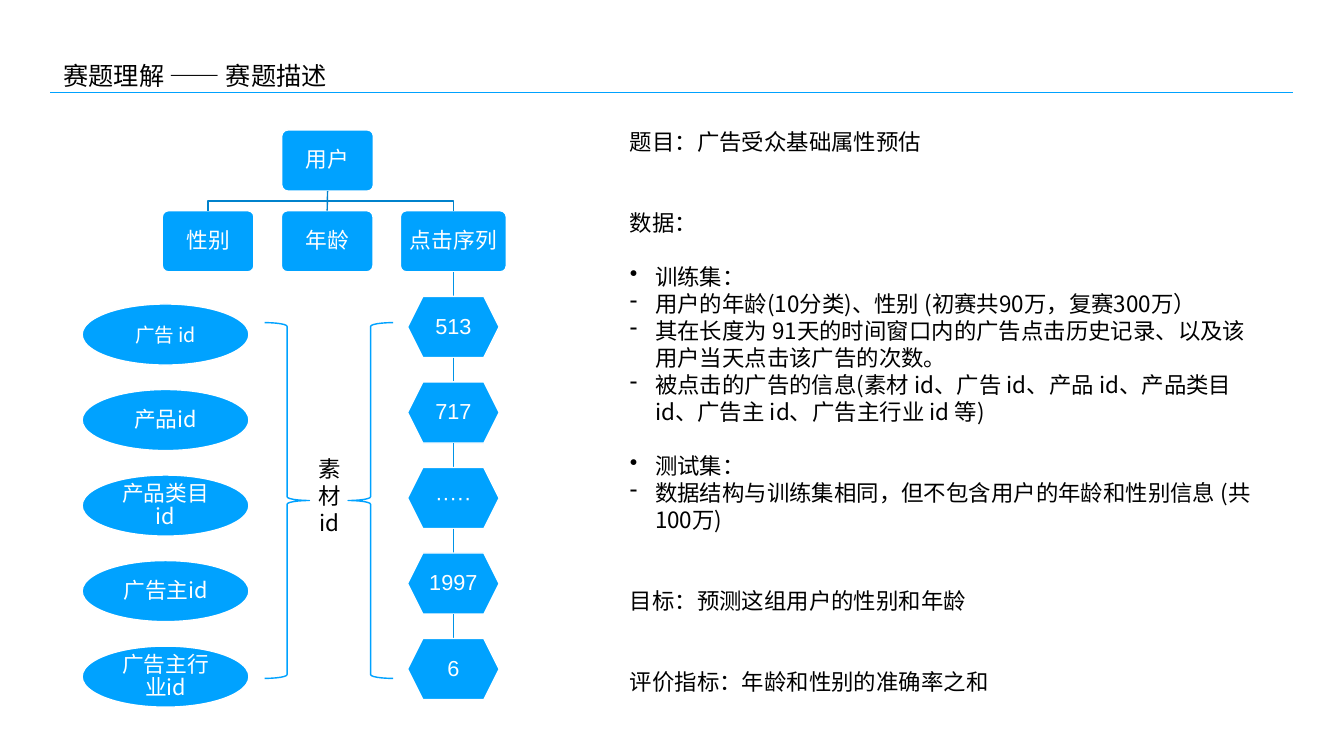
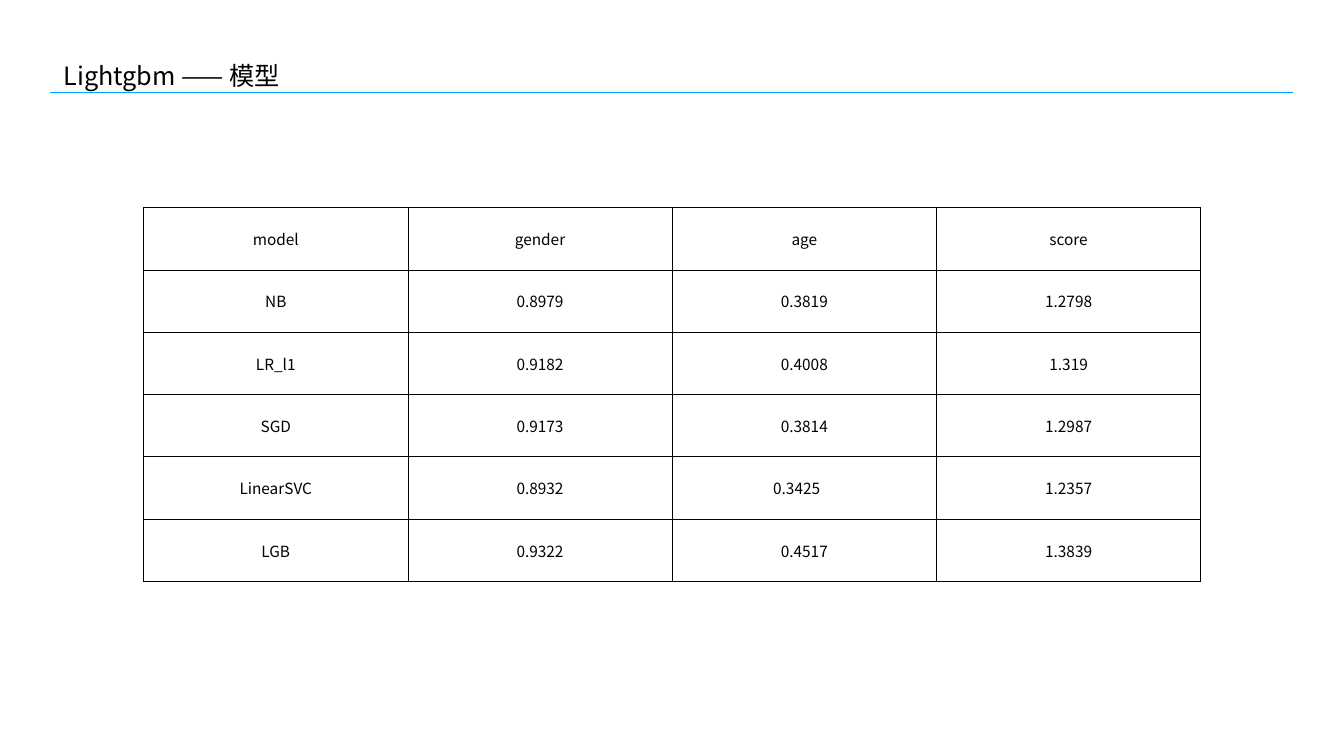
from dataclasses import dataclass
from itertools import pairwise

from lxml.etree import SubElement
from pptx import Presentation
from pptx.dml.color import RGBColor
from pptx.enum.shapes import MSO_CONNECTOR, MSO_SHAPE
from pptx.enum.text import MSO_ANCHOR, PP_ALIGN
from pptx.oxml import parse_xml
from pptx.oxml.ns import nsdecls, qn
from pptx.util import Cm, Pt

# Content
TASK_TITLE = "赛题理解 —— 赛题描述"
MODEL_TITLE = "Lightgbm —— 模型"
USER = "用户"
USER_FIELDS = [("性别", 4.62), ("年龄", 4.62), ("点击序列", 5.34)]  # label, width
CLICKS = ["513", "717", "·····", "1997", "6"]
AD_FIELDS = ["广告 id", "产品id", "产品类目id", "广告主id", "广告主行业id"]
MATERIAL = "素材id"
# Bullet sign, text, empty lines above
DESCRIPTION = [
    ("", "题目：广告受众基础属性预估", 0),
    ("", "数据：", 2),
    ("•", "训练集：", 1),
    ("-", "用户的年龄(10分类)、性别 (初赛共90万，复赛300万）", 0),
    ("-", "其在长度为 91天的时间窗口内的广告点击历史记录、以及该用户当天点击该广告的次数。", 0),
    ("-", "被点击的广告的信息(素材 id、广告 id、产品 id、产品类目 id、广告主 id、广告主行业 id 等)", 0),
    ("•", "测试集：", 1),
    ("-", "数据结构与训练集相同，但不包含用户的年龄和性别信息 (共100万)", 0),
    ("", "目标：预测这组用户的性别和年龄", 2),
    ("", "评价指标：年龄和性别的准确率之和", 2),
]
SCORES = [
    ("model", "gender", "age", "score"),
    ("NB", "0.8979", "0.3819", "1.2798"),
    ("LR_l1", "0.9182", "0.4008", "1.319"),
    ("SGD", "0.9173", "0.3814", "1.2987"),
    ("LinearSVC", "0.8932", "0.3425　", "1.2357"),
    ("LGB", "0.9322", "0.4517", "1.3839"),
]


@dataclass(frozen=True)
class Theme:
    blue: RGBColor = RGBColor(0x00, 0xA2, 0xFF)
    branch: RGBColor = RGBColor(0x00, 0x82, 0xCC)
    chain: RGBColor = RGBColor(0x00, 0x93, 0xE7)
    white: RGBColor = RGBColor(0xFF, 0xFF, 0xFF)
    black: RGBColor = RGBColor(0, 0, 0)
    cjk: str = "Noto Sans CJK SC"
    latin: str = "Arial"
    title: float = 36
    body: float = 32
    node: float = 31
    small_node: float = 28
    cell: float = 22
    body_line: float = 38.6
    node_line: float = 33
    stroke: float = 2


T = Theme()

# Geometry in cm
NODE_W, NODE_H = 4.62, 3.08
USER_LEFT, USER_TOP = 14.2, 6.55
FIELD_LEFT, FIELD_TOP, FIELD_GAP = 8.18, 10.62, 1.38
CLICK_TOP, AD_TOP, PITCH = 14.94, 15.32, 4.31
AD_LEFT, AD_W = 4.14, 8.41
BRACE_TOP, BRACE_W, BRACE_H = 16.26, 2.26, 17.93
COLUMN_W, ROW_H = 13.32, 3.14


def cm(*lengths):
    return [Cm(length) for length in lengths]


def margins(side, top=None, bottom=None):
    top = side if top is None else top
    bottom = top if bottom is None else bottom
    return {"margin_left": Cm(side), "margin_right": Cm(side),
            "margin_top": Cm(top), "margin_bottom": Cm(bottom)}


def apply_format(target, values):
    for attribute, value in values.items():
        setattr(target, attribute, value)


def write(paragraph, text, size, color, latin=T.cjk, **layout):
    apply_format(paragraph, layout)
    run = paragraph.add_run()
    run.text = text
    apply_format(run.font, {"size": Pt(size), "name": latin})
    run.font.color.rgb = color
    SubElement(run.font._element, qn("a:ea"), typeface=T.cjk)


def stroke(line, color):
    line.color.rgb = color
    line.width = Pt(T.stroke)


def text_frame(slide, box, **layout):
    frame = slide.shapes.add_textbox(*cm(*box)).text_frame
    apply_format(frame, {"word_wrap": True, **layout})
    return frame


def straight(slide, start, end, color):
    link = slide.shapes.add_connector(MSO_CONNECTOR.STRAIGHT, *cm(*start, *end))
    stroke(link.line, color)
    SubElement(link.element.spPr, qn("a:effectLst"))
    return link


def node(slide, kind, box, text, size=T.node, latin=T.latin):
    shape = slide.shapes.add_shape(kind, *cm(*box))
    shape.shadow.inherit = False
    shape.fill.solid()
    shape.fill.fore_color.rgb = T.blue
    stroke(shape.line, T.white)
    if kind == MSO_SHAPE.ROUNDED_RECTANGLE:
        shape.adjustments[0] = 0.1
    apply_format(shape.text_frame, {
        "word_wrap": True, "vertical_anchor": MSO_ANCHOR.MIDDLE, **margins(0.33)})
    write(shape.text_frame.paragraphs[0], text, size, T.white, latin,
          alignment=PP_ALIGN.CENTER, line_spacing=Pt(T.node_line))
    return shape


def outline_only(shape, color):
    shape.shadow.inherit = False
    shape.fill.background()
    stroke(shape.line, color)


def titled_slide(prs, title):
    slide = prs.slides.add_slide(prs.slide_layouts[6])
    frame = text_frame(slide, (3, 2.82, 54.89, 1.93),
                       vertical_anchor=MSO_ANCHOR.MIDDLE, **margins(0.2))
    write(frame.paragraphs[0], title, T.title, T.black)
    return slide


def add_shared_rule(prs, slide):
    # The title rule lives on the layout, so every slide shows it
    rule = straight(slide, (2.54, 4.65), (65.15, 4.65), T.blue)
    prs.slide_layouts[6].shapes.element.append(rule.element)


def draw_user_tree(slide):
    box = MSO_SHAPE.ROUNDED_RECTANGLE
    user = node(slide, box, (USER_LEFT, USER_TOP, NODE_W, NODE_H), USER)
    user_x, user_bottom = USER_LEFT + NODE_W / 2, USER_TOP + NODE_H
    bend = (user_bottom + FIELD_TOP) / 2
    left = FIELD_LEFT
    for label, width in USER_FIELDS:
        field = node(slide, box, (left, FIELD_TOP, width, NODE_H), label)
        center = left + width / 2
        if abs(center - user_x) < 0.1:
            link = straight(slide, (user_x, user_bottom), (center, FIELD_TOP), T.branch)
            link.begin_connect(user, 2)
            link.end_connect(field, 0)
        else:
            branch = slide.shapes.build_freeform(*cm(user_x, user_bottom))
            branch.add_line_segments(
                [cm(user_x, bend), cm(center, bend), cm(center, FIELD_TOP)], close=False)
            outline_only(branch.convert_to_shape(), T.branch)
        left += width + FIELD_GAP
    return field, center


def draw_click_chain(slide, sequence, center):
    tops = [FIELD_TOP] + [CLICK_TOP + i * PITCH for i in range(len(CLICKS))]
    for label, (above, top) in zip(CLICKS, pairwise(tops)):
        link = straight(slide, (center, above + NODE_H), (center, top), T.chain)
        if above == FIELD_TOP:
            link.begin_connect(sequence, 2)
        node(slide, MSO_SHAPE.HEXAGON, (center - NODE_W / 2, top, NODE_W, NODE_H), label)


def draw_ad_fields(slide):
    for i, label in enumerate(AD_FIELDS):
        node(slide, MSO_SHAPE.OVAL, (AD_LEFT, AD_TOP + i * PITCH, AD_W, NODE_H), label,
             T.node if i else T.small_node, T.cjk)
    for kind, left in ((MSO_SHAPE.RIGHT_BRACE, 13.34), (MSO_SHAPE.LEFT_BRACE, 17.55)):
        brace = slide.shapes.add_shape(kind, *cm(left, BRACE_TOP, BRACE_W, BRACE_H))
        outline_only(brace, T.blue)
    frame = text_frame(slide, (15.47, 22.73, 2.26, 4.5),
                       vertical_anchor=MSO_ANCHOR.MIDDLE, **margins(0.2))
    write(frame.paragraphs[0], MATERIAL, T.body, T.black,
          alignment=PP_ALIGN.CENTER, line_spacing=Pt(T.body_line))


def write_description(slide):
    frame = text_frame(slide, (31.5, 6.3, 32.1, 31.5), **margins(0.25, 0.13))
    for i, (sign, text, gap) in enumerate(DESCRIPTION):
        paragraph = frame.add_paragraph() if i else frame.paragraphs[0]
        if sign:
            props = paragraph._p.get_or_add_pPr()
            props.set("marL", str(Cm(1.27)))
            props.set("indent", str(-Cm(1.27)))
            SubElement(props, qn("a:buChar"), char=sign)
        write(paragraph, text, T.body, T.black, line_spacing=Pt(T.body_line),
              space_before=Pt(gap * T.body_line))


def border_cell(cell):
    props = cell._tc.get_or_add_tcPr()
    for i, side in enumerate(("lnL", "lnR", "lnT", "lnB")):
        props.insert(i, parse_xml(
            f'<a:{side} {nsdecls("a")} w="{Pt(1)}"><a:solidFill>'
            f'<a:srgbClr val="{T.black}"/></a:solidFill></a:{side}>'))


def draw_scores(slide):
    rows, columns = len(SCORES), len(SCORES[0])
    table = slide.shapes.add_table(
        rows, columns, *cm(7.24, 10.46, columns * COLUMN_W, rows * ROW_H)).table
    apply_format(table, {"first_row": False, "horz_banding": False})
    for column in table.columns:
        column.width = Cm(COLUMN_W)
    for row, values in zip(table.rows, SCORES):
        row.height = Cm(ROW_H)
        for cell, value in zip(row.cells, values):
            cell.fill.background()
            border_cell(cell)
            apply_format(cell, {"vertical_anchor": MSO_ANCHOR.MIDDLE,
                                **margins(0.03, 0.03, 0)})
            write(cell.text_frame.paragraphs[0], value, T.cell, T.black,
                  alignment=PP_ALIGN.CENTER)


def main():
    prs = Presentation()
    apply_format(prs, {"slide_width": Cm(67.74), "slide_height": Cm(38.1)})

    # Task description
    task = titled_slide(prs, TASK_TITLE)
    add_shared_rule(prs, task)
    sequence, center = draw_user_tree(task)
    draw_click_chain(task, sequence, center)
    write_description(task)
    draw_ad_fields(task)

    # Model scores
    draw_scores(titled_slide(prs, MODEL_TITLE))
    prs.save("out.pptx")


if __name__ == "__main__":
    main()
